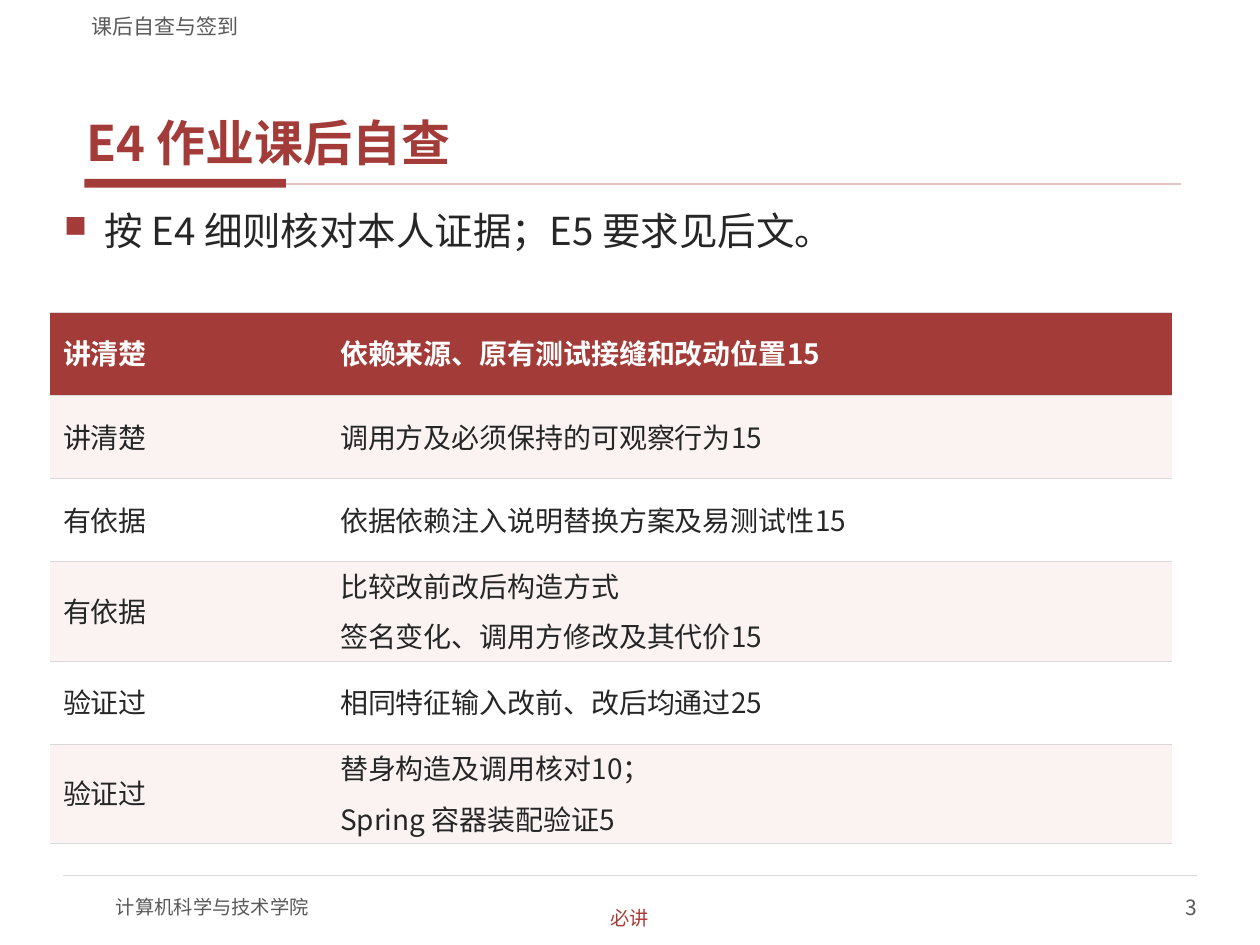
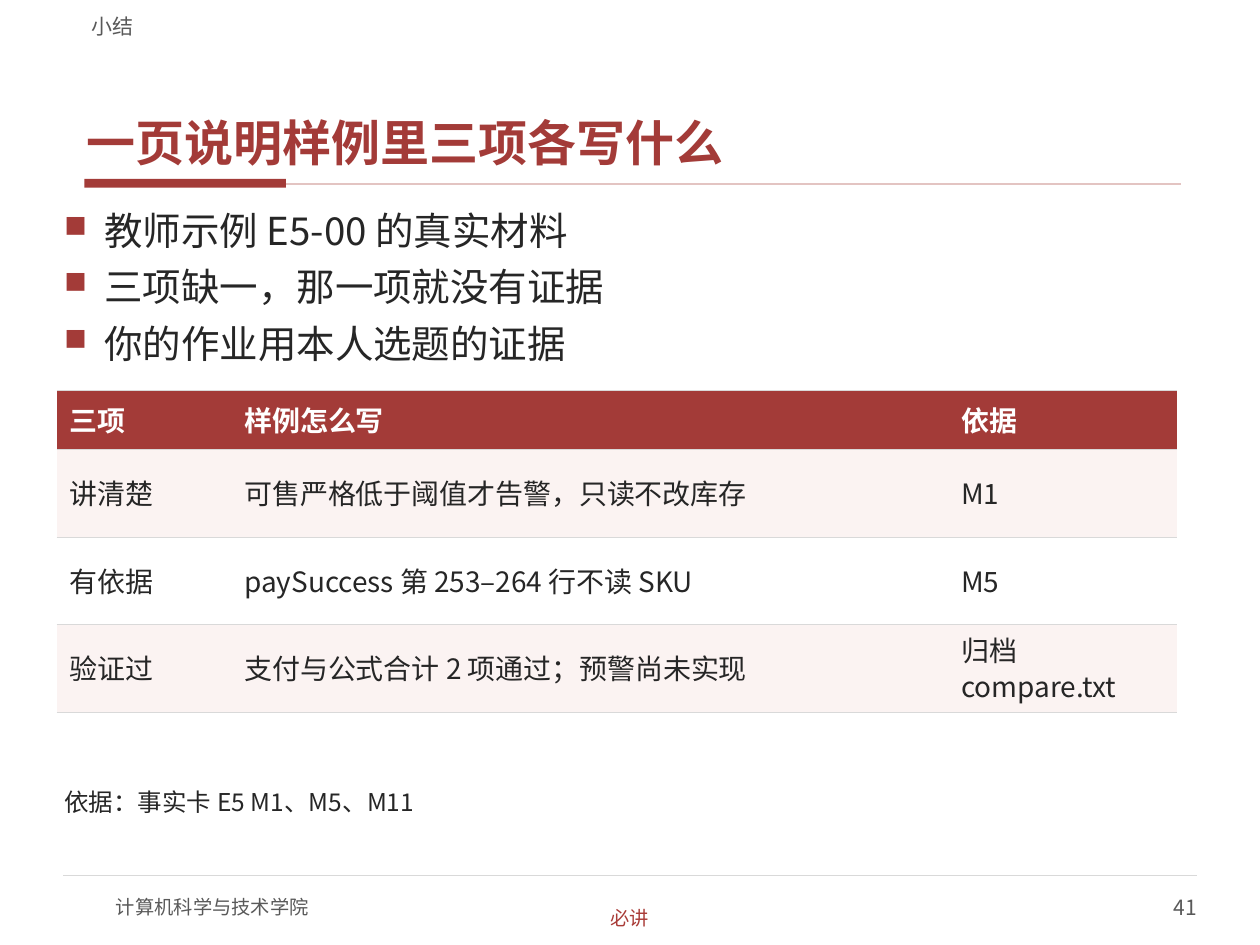
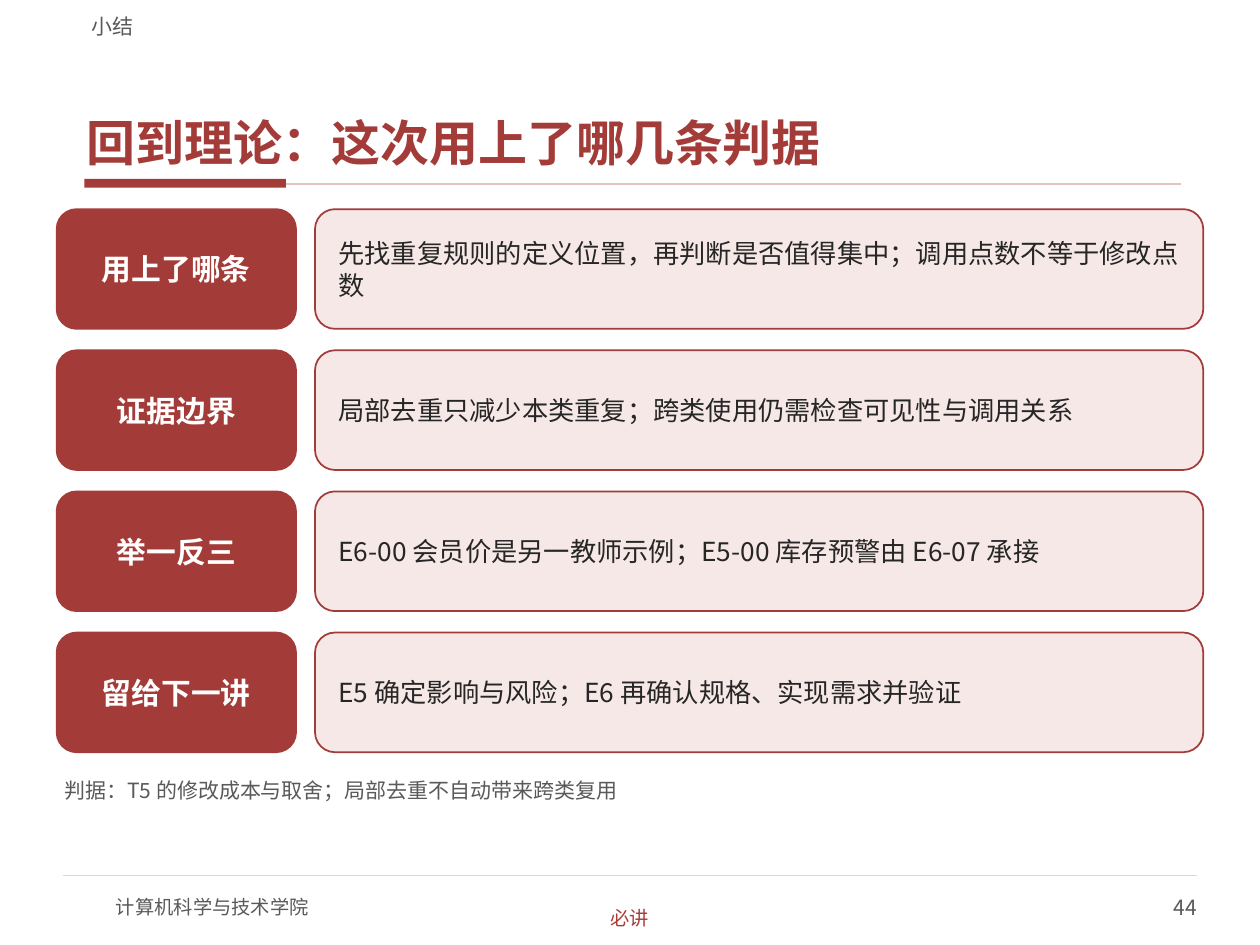
"""Builds three lecture slides: a self-check table, a sample table and a set of criteria cards."""
from lxml.etree import SubElement
from pptx import Presentation
from pptx.dml.color import RGBColor
from pptx.enum.shapes import MSO_CONNECTOR, MSO_SHAPE
from pptx.enum.text import MSO_ANCHOR, MSO_AUTO_SIZE, PP_ALIGN
from pptx.oxml.ns import qn
from pptx.util import Inches, Pt

FONT = "Noto Sans CJK SC"
COLORS = {
    "brand": "A33B38", "tag": "A93B37", "title_rule": "E3C4C2", "rule": "D9D9D9",
    "muted": "595959", "ink": "262626", "white": "FFFFFF", "stripe": "FBF3F2", "card": "F6E8E6",
}
SCHOOL = "计算机科学与技术学院"
TAG = "必讲"

SELF_CHECK = {
    "section": "课后自查与签到", "title": "E4 作业课后自查", "number": 3,
    "bullets": ["按 E4 细则核对本人证据；E5 要求见后文。"], "bullets_height": 0.78,
    "table_at": (0.4, 2.48), "columns": (2.2, 6.7), "row_heights": [0.66] * 6,
    "rows": [
        ("讲清楚", "依赖来源、原有测试接缝和改动位置15"),
        ("讲清楚", "调用方及必须保持的可观察行为15"),
        ("有依据", "依据依赖注入说明替换方案及易测试性15"),
        ("有依据", "比较改前改后构造方式\n签名变化、调用方修改及其代价15"),
        ("验证过", "相同特征输入改前、改后均通过25"),
        ("验证过", "替身构造及调用核对10；\nSpring 容器装配验证5"),
    ],
}
SAMPLE = {
    "section": "小结", "title": "一页说明样例里三项各写什么", "number": 41,
    "bullets": ["教师示例 E5-00 的真实材料", "三项缺一，那一项就没有证据", "你的作业用本人选题的证据"],
    "bullets_height": 1.37,
    "table_at": (0.45, 3.1), "columns": (1.39, 5.69, 1.81), "row_heights": [0.47] + [0.695] * 3,
    "rows": [
        ("三项", "样例怎么写", "依据"),
        ("讲清楚", "可售严格低于阈值才告警，只读不改库存", "M1"),
        ("有依据", "paySuccess 第 253–264 行不读 SKU", "M5"),
        ("验证过", "支付与公式合计 2 项通过；预警尚未实现", "归档 compare.txt"),
    ],
    "basis": "依据：事实卡 E5 M1、M5、M11",
}
CRITERIA = {
    "section": "小结", "title": "回到理论：这次用上了哪几条判据", "number": 44,
    "cards": [
        ("用上了哪条", "先找重复规则的定义位置，再判断是否值得集中；调用点数不等于修改点数"),
        ("证据边界", "局部去重只减少本类重复；跨类使用仍需检查可见性与调用关系"),
        ("举一反三", "E6-00 会员价是另一教师示例；E5-00 库存预警由 E6-07 承接"),
        ("留给下一讲", "E5 确定影响与风险；E6 再确认规格、实现需求并验证"),
    ],
    "criterion": "判据：T5 的修改成本与取舍；局部去重不自动带来跨类复用",
}


def rgb(color):
    return RGBColor.from_string(COLORS[color])


def add_bullet(paragraph):
    properties = paragraph._p.get_or_add_pPr()
    properties.set("marL", str(Inches(0.32)))
    properties.set("indent", str(-Inches(0.32)))
    bullet_color = SubElement(properties, qn("a:buClr"))
    SubElement(bullet_color, qn("a:srgbClr"), val=COLORS["brand"])
    SubElement(properties, qn("a:buSzPct"), val="80000")
    SubElement(properties, qn("a:buChar"), char="■")


def write(frame, lines, size, color, bold=False, align=PP_ALIGN.LEFT,
          before=0, after=0, spacing=None, bulleted=False):
    frame.text = "\n".join(lines)
    for index, paragraph in enumerate(frame.paragraphs):
        if bulleted:
            add_bullet(paragraph)
        paragraph.alignment = align
        paragraph.space_before = Pt(before if index else 0)
        paragraph.space_after = Pt(after)
        if spacing:
            paragraph.line_spacing = spacing
        font = paragraph.font
        font.size, font.bold, font.name = Pt(size), bold, FONT
        font.color.rgb = rgb(color)
        SubElement(paragraph._p.pPr.find(qn("a:defRPr")), qn("a:ea"), typeface=FONT)


def set_frame(frame, insets=(0, 0), anchor=MSO_ANCHOR.TOP, wrap=True):
    frame.auto_size = MSO_AUTO_SIZE.NONE
    frame.word_wrap = wrap
    frame.vertical_anchor = anchor
    frame.margin_left = frame.margin_right = Inches(insets[0])
    frame.margin_top = frame.margin_bottom = Inches(insets[1])


def add_text(slide, at, lines, size, color, insets=(0, 0), anchor=MSO_ANCHOR.TOP, wrap=True, **style):
    frame = slide.shapes.add_textbox(*map(Inches, at)).text_frame
    set_frame(frame, insets, anchor, wrap)
    write(frame, lines, size, color, **style)


def add_block(slide, preset, at, fill, line=None):
    block = slide.shapes.add_shape(preset, *map(Inches, at))
    block.shadow.inherit = False
    block.fill.solid()
    block.fill.fore_color.rgb = rgb(fill)
    if line:
        block.line.color.rgb = rgb(line)
        block.line.width = Pt(1)
    else:
        block.line.fill.background()
    return block


def add_rule(slide, left, right, y, color, width):
    rule = slide.shapes.add_connector(
        MSO_CONNECTOR.STRAIGHT, Inches(left), Inches(y), Inches(right), Inches(y))
    rule.line.color.rgb = rgb(color)
    rule.line.width = Pt(width)
    SubElement(rule._element.spPr, qn("a:effectLst"))


def add_slide(deck, content):
    slide = deck.slides.add_slide(deck.slide_layouts[5])
    title = slide.shapes.title
    title.left, title.top, title.width, title.height = map(Inches, (0.63, 0.33, 8.75, 1.05))
    set_frame(title.text_frame, (0.06, 0.02), MSO_ANCHOR.BOTTOM)
    write(title.text_frame, [content["title"]], 28, "brand", bold=True, after=2)

    add_block(slide, MSO_SHAPE.RECTANGLE, (0.67, 1.42, 1.6, 0.07), "brand")
    add_rule(slide, 2.27, 9.37, 1.46, "title_rule", 1)
    add_rule(slide, 0.5, 9.5, 6.95, "rule", 0.75)
    middle = MSO_ANCHOR.MIDDLE
    add_text(slide, (0.92, 7, 4, 0.4), [SCHOOL], 11, "muted", anchor=middle)
    add_text(slide, (7.5, 7, 2, 0.4), [str(content["number"])], 12, "muted",
             anchor=middle, align=PP_ALIGN.RIGHT)
    add_text(slide, (0.63, 0.04, 8.75, 0.27), [content["section"]], 12, "muted",
             insets=(0.1, 0), anchor=MSO_ANCHOR.BOTTOM)
    add_text(slide, (4.4, 7.18, 1.2, 0.21), [TAG], 11, "tag",
             anchor=middle, wrap=False, align=PP_ALIGN.CENTER)
    return slide


def set_borders(cell):
    properties = cell._tc.get_or_add_tcPr()
    for side in ("lnL", "lnR"):
        SubElement(SubElement(properties, qn(f"a:{side}"), w="0"), qn("a:noFill"))
    for side in ("lnT", "lnB"):
        border = SubElement(properties, qn(f"a:{side}"), w=str(Pt(0.75)))
        SubElement(SubElement(border, qn("a:solidFill")), qn("a:srgbClr"), val=COLORS["rule"])


def add_grid(slide, content):
    rows, columns, heights = content["rows"], content["columns"], content["row_heights"]
    extent = (*content["table_at"], sum(columns), sum(heights))
    table = slide.shapes.add_table(len(rows), len(columns), *map(Inches, extent)).table
    for column, width in zip(table.columns, columns):
        column.width = Inches(width)
    for index, (row, height, texts) in enumerate(zip(table.rows, heights, rows)):
        row.height = Inches(height)
        heading = index == 0
        fill = "brand" if heading else "stripe" if index % 2 else "white"
        for cell, text in zip(row.cells, texts):
            set_borders(cell)
            cell.fill.solid()
            cell.fill.fore_color.rgb = rgb(fill)
            cell.vertical_anchor = MSO_ANCHOR.MIDDLE
            write(cell.text_frame, text.split("\n"), 16, "white" if heading else "ink",
                  bold=heading, before=6, after=2, spacing=0.9)


def add_table_slide(deck, content):
    slide = add_slide(deck, content)
    add_text(slide, (0.45, 1.62, 9.1, content["bullets_height"]), content["bullets"], 22, "ink",
             insets=(0.06, 0.02), before=4, after=2, bulleted=True)
    add_grid(slide, content)
    if "basis" in content:
        add_text(slide, (0.45, 6.23, 9.1, 0.5), [content["basis"]], 14, "ink",
                 insets=(0.06, 0.02), after=2)


def add_criteria_slide(deck, content):
    slide = add_slide(deck, content)
    for index, (label, explanation) in enumerate(content["cards"]):
        top = 1.66 + 1.12 * index
        label_card = add_block(slide, MSO_SHAPE.ROUNDED_RECTANGLE, (0.45, top, 1.9, 0.95), "brand", "brand")
        set_frame(label_card.text_frame, (0.08, 0.04), MSO_ANCHOR.MIDDLE)
        write(label_card.text_frame, [label], 17, "white", bold=True, align=PP_ALIGN.CENTER)
        detail_card = add_block(slide, MSO_SHAPE.ROUNDED_RECTANGLE, (2.5, top, 7.05, 0.95), "card", "brand")
        set_frame(detail_card.text_frame, (0.14, 0.07), MSO_ANCHOR.MIDDLE)
        write(detail_card.text_frame, [explanation], 15, "ink")
    add_text(slide, (0.45, 6.14, 9.1, 0.32), [content["criterion"]], 12, "muted", insets=(0.06, 0.03))


def main():
    deck = Presentation()
    deck.slide_width, deck.slide_height = Inches(10), Inches(7.5)
    add_table_slide(deck, SELF_CHECK)
    add_table_slide(deck, SAMPLE)
    add_criteria_slide(deck, CRITERIA)
    deck.save("out.pptx")


if __name__ == "__main__":
    main()
